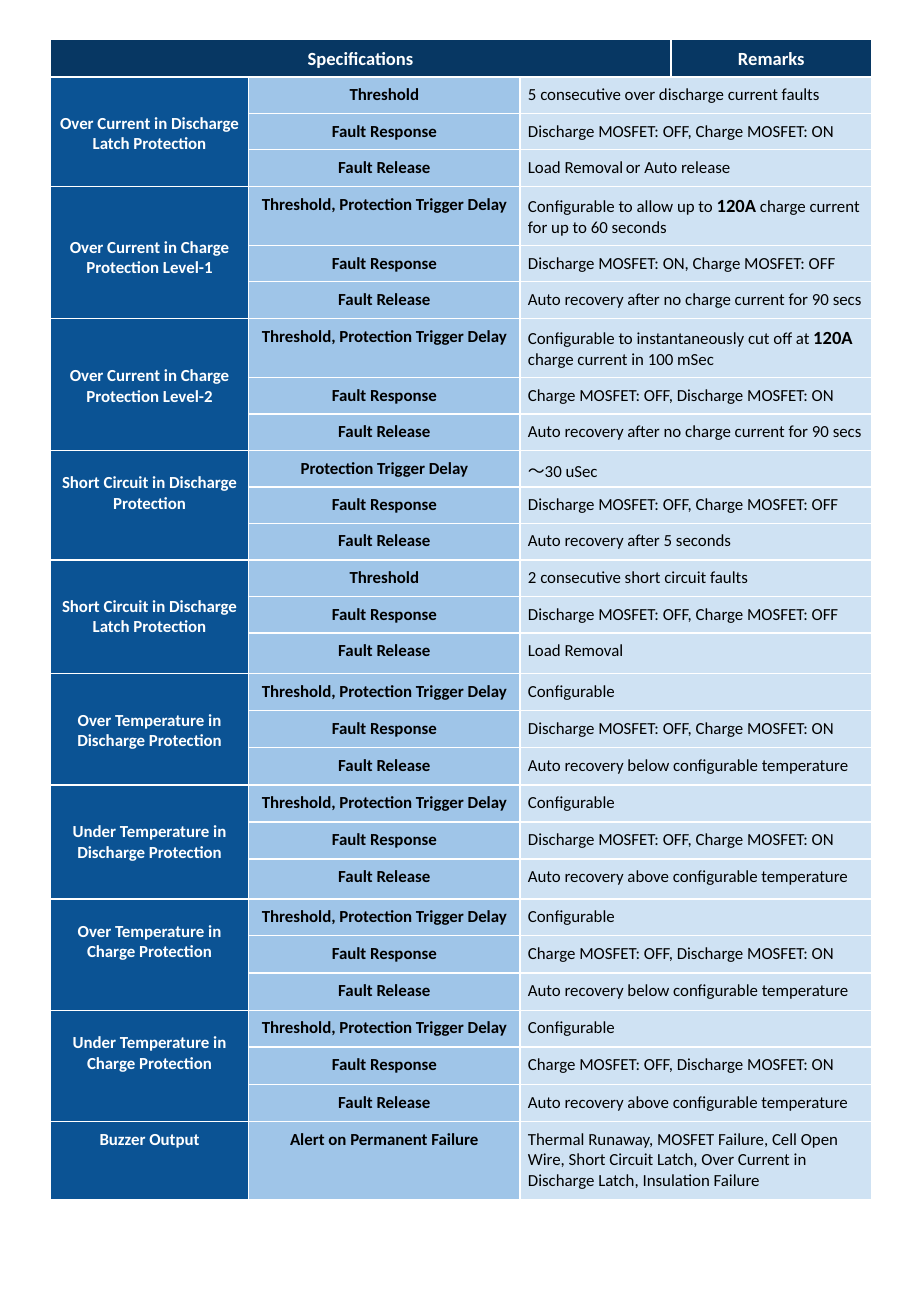
import lxml.etree
import pptx
import pptx.dml.color
import pptx.enum.text
import pptx.oxml.ns
import pptx.util

Cm = pptx.util.Cm
RGBColor = pptx.dml.color.RGBColor
ALIGN = pptx.enum.text.PP_ALIGN

NAVY = RGBColor(0x07, 0x37, 0x63)
BLUE = RGBColor(0x0B, 0x53, 0x94)
SKY = RGBColor(0x9F, 0xC5, 0xE8)
PALE = RGBColor(0xCF, 0xE2, 0xF3)
WHITE = RGBColor(0xFF, 0xFF, 0xFF)
BLACK = RGBColor(0x00, 0x00, 0x00)

COLUMN_WIDTHS = [4.15, 5.67, 3.16, 4.2]
HEADER_HEIGHT = 0.78
SHORT_ROWS = [0.76, 0.76, 0.77]
TALL_ROWS = [1.23, 0.76, 0.77]
LATCH_ROWS = [0.76, 0.76, 0.85]
WARM_ROWS = [0.77, 0.78, 0.78]
COOL_ROWS = [0.77, 0.78, 0.83]

THRESHOLD = "Threshold"
DELAY = "Protection Trigger Delay"
THRESHOLD_DELAY = "Threshold, Protection Trigger Delay"
DISCHARGE_OFF = "Discharge MOSFET: OFF, Charge MOSFET: ON"
CHARGE_OFF = "Charge MOSFET: OFF, Discharge MOSFET: ON"
BOTH_OFF = "Discharge MOSFET: OFF, Charge MOSFET: OFF"
AFTER_90 = "Auto recovery after no charge current for 90 secs"
BELOW = "Auto recovery below configurable temperature"
ABOVE = "Auto recovery above configurable temperature"
CURRENT_LIMIT = ("120A", 11, True)

# Protection, top margin of its label, row heights, first row label,
# then the remarks for the first row, the fault response and the fault release
PROTECTIONS = [
    ("Over Current in Discharge Latch Protection", 0.76, SHORT_ROWS, THRESHOLD,
     ["5 consecutive over discharge current faults", DISCHARGE_OFF,
      ["Load Removal", (" ", 7, False), "or Auto release"]]),
    ("Over Current in Charge Protection Level-1", 1.06, TALL_ROWS, THRESHOLD_DELAY,
     [["Configurable to allow up to ", CURRENT_LIMIT,
       " charge current for up to 60 seconds"],
      "Discharge MOSFET: ON, Charge MOSFET: OFF", AFTER_90]),
    ("Over Current in Charge Protection Level-2", 0.99, TALL_ROWS, THRESHOLD_DELAY,
     [["Configurable to instantaneously cut off at ", CURRENT_LIMIT,
       " charge current in 100 mSec"], CHARGE_OFF, AFTER_90]),
    ("Short Circuit in Discharge Protection", 0.46, SHORT_ROWS, DELAY,
     ["～30 uSec", BOTH_OFF, "Auto recovery after 5 seconds"]),
    ("Short Circuit in Discharge Latch Protection", 0.76, LATCH_ROWS, THRESHOLD,
     ["2 consecutive short circuit faults", BOTH_OFF, "Load Removal"]),
    ("Over Temperature in Discharge Protection", 0.77, WARM_ROWS, THRESHOLD_DELAY,
     ["Configurable", DISCHARGE_OFF, BELOW]),
    ("Under Temperature in Discharge Protection", 0.77, COOL_ROWS, THRESHOLD_DELAY,
     ["Configurable", DISCHARGE_OFF, ABOVE]),
    ("Over Temperature in Charge Protection", 0.47, WARM_ROWS, THRESHOLD_DELAY,
     ["Configurable", CHARGE_OFF, BELOW]),
    ("Under Temperature in Charge Protection", 0.47, WARM_ROWS, THRESHOLD_DELAY,
     ["Configurable", CHARGE_OFF, ABOVE]),
    ("Buzzer Output", 0.16, [1.62], "Alert on Permanent Failure",
     ["Thermal Runaway, MOSFET Failure, Cell Open Wire, Short Circuit Latch, "
      "Over Current in Discharge Latch, Insulation Failure"]),
]


class SpecificationPage:
    font = "Calibri"
    side_margin = 0.17
    top_margin = 0.16
    bottom_margin = 0.06

    def __init__(self, deck):
        self.page = deck.slides.add_slide(deck.slide_layouts[6])

    def table(self, left, top, widths, heights):
        frame = self.page.shapes.add_table(
            len(heights), len(widths), Cm(left), Cm(top),
            Cm(sum(widths)), Cm(sum(heights)))
        table = frame.table
        table.first_row = False
        table.horz_banding = False
        for column, width in zip(table.columns, widths):
            column.width = Cm(width)
        for row, height in zip(table.rows, heights):
            row.height = Cm(height)
        for row in table.rows:
            for cell in row.cells:
                self.borders(cell)
        return table

    def borders(self, cell):
        properties = cell._tc.get_or_add_tcPr()
        qn = pptx.oxml.ns.qn
        for position, side in enumerate(("a:lnL", "a:lnR", "a:lnT", "a:lnB")):
            line = lxml.etree.Element(qn(side), w=str(pptx.util.Pt(1)))
            fill = lxml.etree.SubElement(line, qn("a:solidFill"))
            lxml.etree.SubElement(fill, qn("a:srgbClr"), val=str(WHITE))
            properties.insert(position, line)

    def cell(self, cell, content, fill, color, size=10, bold=True,
             align=ALIGN.CENTER, top=top_margin):
        """Fill a cell with a text, or a list of texts and (text, size, bold) runs."""
        cell.fill.solid()
        cell.fill.fore_color.rgb = fill
        cell.margin_left = cell.margin_right = Cm(self.side_margin)
        cell.margin_top = Cm(top)
        cell.margin_bottom = Cm(self.bottom_margin)
        para = cell.text_frame.paragraphs[0]
        para.alignment = align
        for part in [content] if isinstance(content, str) else content:
            text, span_size, span_bold = (
                (part, size, bold) if isinstance(part, str) else part)
            span = para.add_run()
            span.text = text
            span.font.name = self.font
            span.font.size = pptx.util.Pt(span_size)
            span.font.bold = span_bold
            span.font.color.rgb = color


def main():
    deck = pptx.Presentation()
    deck.slide_width = Cm(19.05)
    deck.slide_height = Cm(27.51)
    sheet = SpecificationPage(deck)

    heights = [HEADER_HEIGHT]
    for protection in PROTECTIONS:
        heights += protection[2]
    table = sheet.table(1.05, 0.83, COLUMN_WIDTHS, heights)

    table.cell(0, 0).merge(table.cell(0, 2))
    sheet.cell(table.cell(0, 0), "Specifications", NAVY, WHITE, size=11)
    sheet.cell(table.cell(0, 3), "Remarks", NAVY, WHITE, size=11)

    first = 1
    for name, label_top, rows, first_label, remarks in PROTECTIONS:
        if len(rows) > 1:
            table.cell(first, 0).merge(table.cell(first + len(rows) - 1, 0))
        sheet.cell(table.cell(first, 0), name, BLUE, WHITE, top=label_top)
        labels = [first_label, "Fault Response", "Fault Release"]
        for row, (label, remark) in enumerate(zip(labels, remarks), first):
            sheet.cell(table.cell(row, 1), label, SKY, BLACK)
            table.cell(row, 2).merge(table.cell(row, 3))
            sheet.cell(table.cell(row, 2), remark, PALE, BLACK,
                       bold=False, align=ALIGN.LEFT)
        first += len(rows)

    deck.save("out.pptx")


if __name__ == "__main__":
    main()
